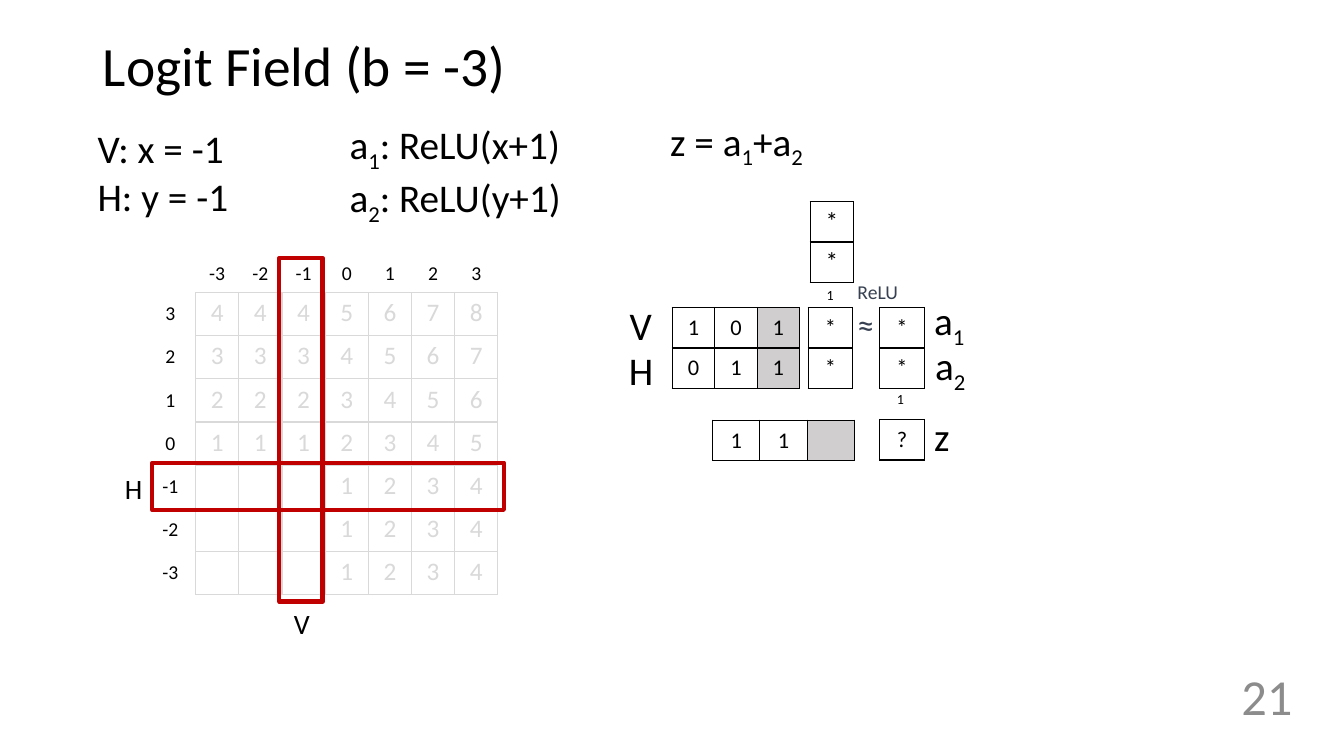
from lxml import etree
from pptx import Presentation
from pptx.dml.color import RGBColor
from pptx.enum.shapes import MSO_SHAPE
from pptx.enum.text import MSO_ANCHOR, PP_ALIGN
from pptx.oxml.ns import qn
from pptx.util import Cm, Pt

LEFT, CENTER, RIGHT = PP_ALIGN.LEFT, PP_ALIGN.CENTER, PP_ALIGN.RIGHT
TOP, MIDDLE = MSO_ANCHOR.TOP, MSO_ANCHOR.MIDDLE
RECTANGLE = MSO_SHAPE.RECTANGLE
color = RGBColor.from_string
FONT = "Calibri"
BLACK, PALE, SHADE, RED = "000000", "D9D9D9", "D0CECE", "C00000"
PLAIN_TABLE = "{2D5ABB26-0587-4C30-8999-92F81FD0307C}"

presentation = Presentation()
presentation.slide_width, presentation.slide_height = Cm(33.87), Cm(19.05)
slide = presentation.slides.add_slide(presentation.slide_layouts[5])


def add_text(left, top, width, height, lines, size, hex_color=BLACK, wrap=False):
    """Add a text box; an underscore makes the next character a subscript."""
    box = slide.shapes.add_textbox(Cm(left), Cm(top), Cm(width), Cm(height))
    frame = box.text_frame
    frame.word_wrap = wrap
    for index, line in enumerate(lines):
        paragraph = frame.paragraphs[0] if index == 0 else frame.add_paragraph()
        paragraph.font.name, paragraph.font.size = FONT, Pt(size)
        paragraph.font.color.rgb = color(hex_color)
        first, *rest = line.split("_")
        paragraph.add_run().text = first
        for piece in rest:
            subscript = paragraph.add_run()
            subscript.text = piece[0]
            subscript.font._element.set("baseline", "-25000")
            if piece[1:]:
                paragraph.add_run().text = piece[1:]
    return box


def add_grid(left, top, column, row, values, size, hex_color=BLACK, border=None,
             anchor=MIDDLE, margins=(0.23, 0.1), shaded_column=None):
    """Add a plain table with equal columns and equal rows."""
    rows, columns = len(values), len(values[0])
    table = slide.shapes.add_table(rows, columns, Cm(left), Cm(top),
                                   Cm(column * columns), Cm(row * rows)).table
    table.first_row = table.horz_banding = False
    table._tbl.tblPr.find(qn("a:tableStyleId")).text = PLAIN_TABLE
    for r, c in ((r, c) for r in range(rows) for c in range(columns)):
        cell = table.cell(r, c)
        cell.text = values[r][c]
        cell.vertical_anchor = anchor
        cell.margin_left = cell.margin_right = Cm(margins[0])
        cell.margin_top = cell.margin_bottom = Cm(margins[1])
        paragraph = cell.text_frame.paragraphs[0]
        paragraph.alignment = CENTER
        paragraph.font.name, paragraph.font.size = FONT, Pt(size)
        paragraph.font.color.rgb = color(hex_color)
        # Borders come before the fill in the cell properties
        properties = cell._tc.get_or_add_tcPr()
        for side in ("a:lnL", "a:lnR", "a:lnT", "a:lnB") if border else ():
            line = etree.SubElement(properties, qn(side), w=str(Pt(1)))
            fill = etree.SubElement(line, qn("a:solidFill"))
            etree.SubElement(fill, qn("a:srgbClr"), val=border)
        if c == shaded_column:
            cell.fill.solid()
            cell.fill.fore_color.rgb = color(SHADE)
        else:
            cell.fill.background()


# Title
title = slide.shapes.title
title.left, title.top, title.width, title.height = Cm(2.34), Cm(1.02), Cm(29.21), Cm(1.4)
title.text_frame.text = "Logit Field (b = -3)"
title.text_frame.vertical_anchor = MIDDLE
heading = title.text_frame.paragraphs[0]
heading.alignment, heading.line_spacing = LEFT, 0.9
heading.font.name, heading.font.size = FONT, Pt(39.6)
heading.font.color.rgb = color(BLACK)

# Page number
number = add_text(29.64, 16.43, 3.18, 2.18, ["21"], 36, "8C8C8C", wrap=True)
number.text_frame.vertical_anchor = MIDDLE
number.text_frame.paragraphs[0].alignment = RIGHT

# Logit field: z = ReLU(x+1) + ReLU(y+1), zeros left blank
xs, ys = range(-3, 4), range(3, -4, -1)
logits = [[str(max(0, x + 1) + max(0, y + 1) or "") for x in xs] for y in ys]
CELL = 7.62 / 7
FIELD_MARGINS = (0, 0.13)
add_grid(4.93, 7.37, CELL, CELL, logits, 18, PALE, PALE, TOP, FIELD_MARGINS)
add_grid(4.93, 6.48, CELL, 0.84, [[str(x) for x in xs]], 14, anchor=TOP, margins=FIELD_MARGINS)
add_grid(3.84, 7.37, 0.91, CELL, [[str(y)] for y in ys], 14, margins=FIELD_MARGINS)

# Network matrices: left, top, column width, values, size, shaded column
ROW = 1.02
for left, top, column, values, size, shaded in (
    (20.42, 5.08, 1.09, ["*", "*"], 18, None),
    (16.94, 7.75, 1.07, [["1", "0", "1"], ["0", "1", "1"]], 16, 2),
    (20.37, 7.75, 1.12, ["*", "*"], 16, None),
    (22.17, 7.75, 1.12, ["*", "*"], 16, None),
    (17.96, 10.59, 1.19, [["1", "1", ""]], 16, 2),
    (22.17, 10.57, 1.12, ["?"], 16, None),
):
    add_grid(left, top, column, ROW, values, size, border=BLACK, shaded_column=shaded)

# Bias inputs
for left, top in ((20.4, 7.04), (22.17, 9.68)):
    add_grid(left, top, 1.04, 0.81, ["1"], 10)

# Formulas and matrix labels
for left, top, width, height, lines in (
    (8.56, 2.9, 6.15, 2.64, ["a_1: ReLU(x+1)", "a_2: ReLU(y+1)"]),
    (2.21, 3.02, 3.84, 2.64, ["V: x = -1", "H: y = -1"]),
    (16.64, 2.82, 6.99, 1.45, ["z = a_1+a_2"]),
    (15.62, 7.47, 1.07, 1.45, ["V"]),
    (15.6, 8.61, 1.14, 1.45, ["H"]),
    (23.29, 7.34, 1.37, 1.45, ["a_1"]),
    (23.32, 8.48, 1.37, 1.45, ["a_2"]),
    (23.29, 10.26, 0.91, 1.45, ["z"]),
):
    # Only the wide formula box wraps, which keeps its text at the left
    add_text(left, top, width, height, lines, 28, wrap=width == 6.99)

# Activation sign
activation = add_text(21.36, 6.93, 1.93, 1.88, ["ReLU", "≈"], 14, "374151", wrap=True)
activation.text_frame.paragraphs[1].font.size = Pt(24)

# Red bands on the lines H and V, each grouped with its label
for band_box, label_box, name in (
    ((3.84, 11.66, 8.86, 1.19), (2.9, 11.76, 0.97, 1.12), "H"),
    ((7.04, 6.5, 1.09, 8.66), (7.16, 15.16, 0.91, 1.12), "V"),
):
    band = slide.shapes.add_shape(RECTANGLE, *map(Cm, band_box))
    band.shadow.inherit = False
    band.fill.background()
    band.line.color.rgb = color(RED)
    band.line.width = Pt(3)
    label = add_text(*label_box, [name], 20)
    slide.shapes.add_group_shape([band, label])

presentation.save("out.pptx")
